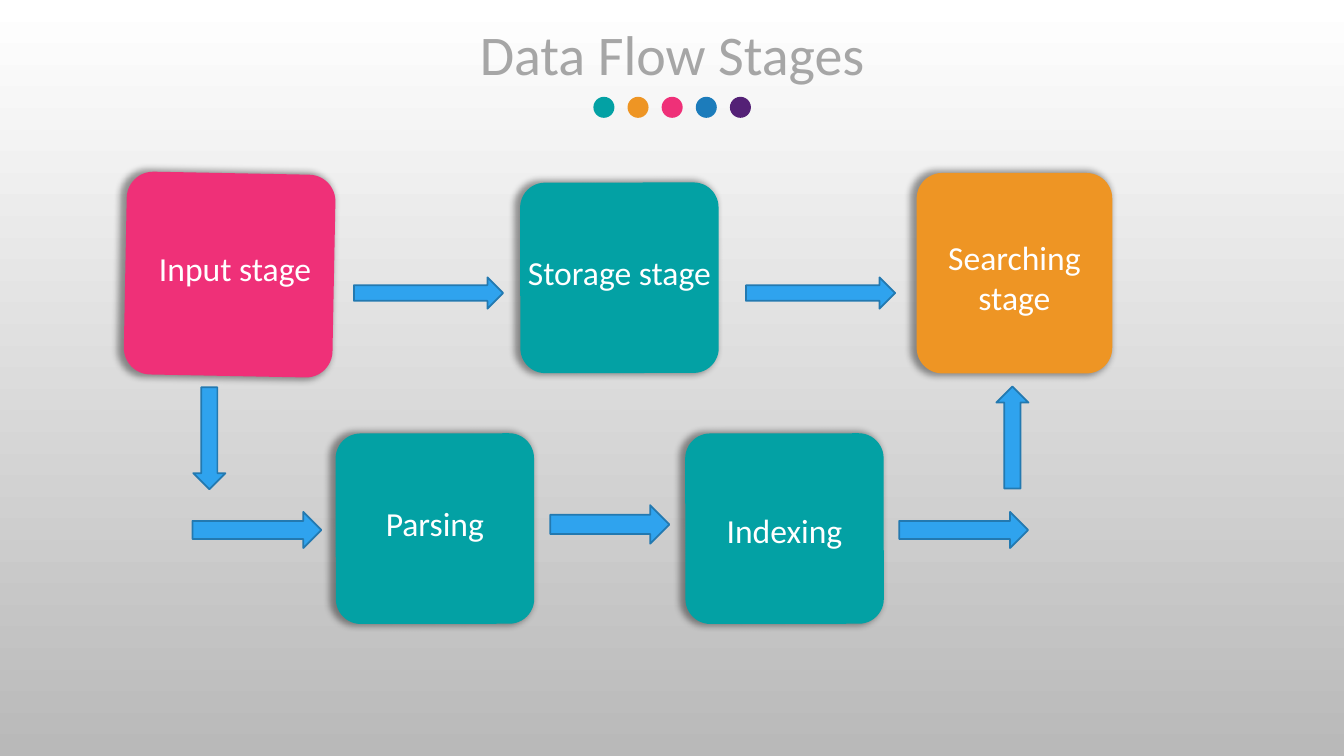
from lxml import etree
from pptx import Presentation
from pptx.dml.color import RGBColor
from pptx.enum.shapes import MSO_SHAPE as Kind
from pptx.enum.text import MSO_AUTO_SIZE as Fit, PP_ALIGN as Align
from pptx.oxml.ns import qn
from pptx.util import Cm, Pt

WHITE = RGBColor(0xFF, 0xFF, 0xFF)
SILVER = RGBColor(0xB9, 0xB9, 0xB9)
GREY = RGBColor(0xA6, 0xA6, 0xA6)
TEAL = RGBColor(0x03, 0xA1, 0xA4)
ORANGE = RGBColor(0xEE, 0x95, 0x24)
PINK = RGBColor(0xEF, 0x30, 0x78)
BLUE = RGBColor(0x1C, 0x7C, 0xBB)
PURPLE = RGBColor(0x54, 0x21, 0x76)
SKY = RGBColor(0x2F, 0xA3, 0xEE)
EDGE = RGBColor(0x23, 0x79, 0xB0)

# box, turn, fill, text, then label width, height, side shift and drop
CARDS = [
    ((3.23, 4.29, 5.11, 5.26), 91.1, PINK, "Input stage", (5.94, 1.27, 0.14, 1.83)),
    ((13.21, 4.5, 4.8, 5), 89.9, TEAL, "Storage stage", (6.45, 1.27, 0, 1.73)),
    ((23.04, 4.42, 5.05, 4.93), 90, ORANGE, "Searching stage", (4.98, 2.31, 0, 1.42)),
    ((8.56, 10.82, 4.8, 5), 89.9, TEAL, "Parsing", (6.45, 1.27, 0, 1.73)),
    ((17.37, 10.82, 4.8, 5), 89.9, TEAL, "Indexing", (6.45, 1.27, 0, 1.9)),
]

# box, turn
ARROWS = [
    ((8.92, 6.99, 3.76, 0.79), 0),
    ((18.8, 6.99, 3.76, 0.79), 0),
    ((4.85, 12.9, 3.25, 0.91), 0),
    ((13.87, 12.73, 3, 0.97), 0),
    ((22.66, 12.9, 3.25, 0.91), 0),
    ((3.99, 10.64, 2.57, 0.81), 90),
    ((24.23, 10.62, 2.57, 0.81), 270),
]


def add_text(shapes, box, text, size, color):
    frame = shapes.add_textbox(*map(Cm, box)).text_frame
    frame.word_wrap = True
    frame.auto_size = Fit.SHAPE_TO_FIT_TEXT
    frame.text = text
    line = frame.paragraphs[0]
    line.alignment = Align.CENTER
    font = line.runs[0].font
    font.name = "Calibri"
    font.size = Pt(size)
    font.color.rgb = color


def add_solid(shapes, kind, box, color, turn=0):
    """Add a plain filled shape without outline or shadow."""
    shape = shapes.add_shape(kind, *map(Cm, box))
    shape.shadow.inherit = False
    shape.fill.solid()
    shape.fill.fore_color.rgb = color
    shape.line.fill.background()
    shape.rotation = turn
    return shape


def add_glow(shape):
    """Give the shape a soft shadow, slightly larger than itself."""
    effects = shape.element.spPr.find(qn("a:effectLst"))
    shade = etree.SubElement(effects, qn("a:outerShdw"), blurRad=str(Pt(5)),
                             sx="102000", sy="102000", algn="ctr", rotWithShape="0")
    black = etree.SubElement(shade, qn("a:prstClr"), val="black")
    etree.SubElement(black, qn("a:alpha"), val="40000")


def draw_back(slide):
    fill = slide.background.fill
    fill.gradient()
    fill.gradient_angle = 270
    for stop, color in zip(fill.gradient_stops, (WHITE, SILVER)):
        stop.color.rgb = color


def draw_head(slide, box):
    """Place the title with a row of dots centred under it."""
    left, top, width, _ = box
    add_text(slide.shapes, box, "Data Flow Stages", 40, GREY)
    colors = (TEAL, ORANGE, PINK, BLUE, PURPLE)
    size, step = 0.53, 0.86
    start = left + (width - size - step * (len(colors) - 1)) / 2
    dots = slide.shapes.add_group_shape().shapes
    for i, color in enumerate(colors):
        add_solid(dots, Kind.OVAL, (start + i * step, top + 2.08, size, size), color)


def draw_card(slide, box, turn, color, text, label):
    left, top, width, _ = box
    wide, high, shift, drop = label
    parts = slide.shapes.add_group_shape().shapes
    card = add_solid(parts, Kind.ROUNDED_RECTANGLE, box, color, turn)
    card.adjustments[0] = 0.131
    add_glow(card)
    place = (left + (width - wide) / 2 + shift, top + drop, wide, high)
    add_text(parts, place, text, 24, WHITE)


def draw_arrow(slide, box, turn):
    arrow = add_solid(slide.shapes, Kind.RIGHT_ARROW, box, SKY, turn)
    arrow.line.color.rgb = EDGE
    arrow.line.width = Pt(1.25)


def main():
    deck = Presentation()
    deck.slide_width, deck.slide_height = Cm(33.87), Cm(19.05)
    slide = deck.slides.add_slide(deck.slide_layouts[6])
    draw_back(slide)
    draw_head(slide, (6.83, 0.36, 20.22, 1.96))
    for card in CARDS:
        draw_card(slide, *card)
    for arrow in ARROWS:
        draw_arrow(slide, *arrow)
    deck.save("out.pptx")


if __name__ == "__main__":
    main()
